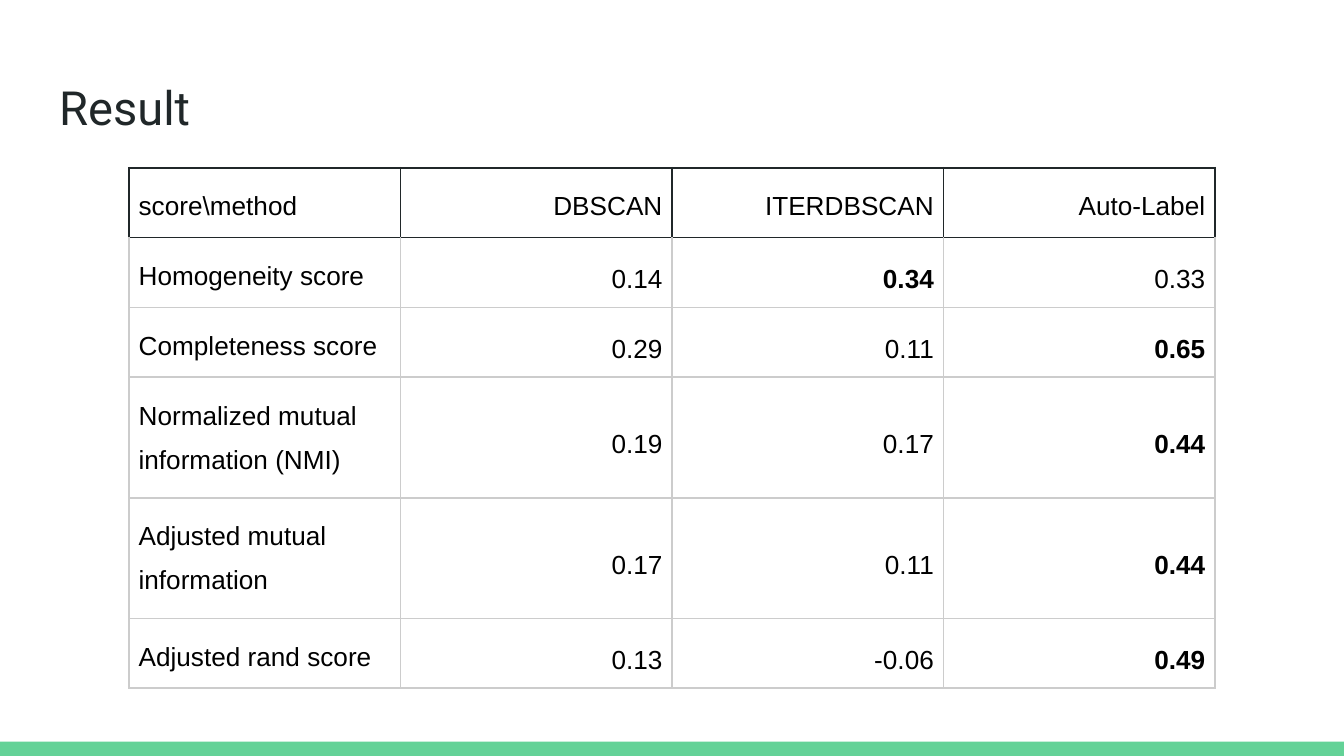
from dataclasses import dataclass

from lxml import etree
from pptx import Presentation
from pptx.dml.color import RGBColor
from pptx.enum.shapes import MSO_SHAPE
from pptx.enum.text import MSO_ANCHOR, PP_ALIGN
from pptx.oxml.ns import qn
from pptx.util import Cm, Pt

RECTANGLE = MSO_SHAPE.RECTANGLE
TOP, MIDDLE = MSO_ANCHOR.TOP, MSO_ANCHOR.MIDDLE
LEFT, RIGHT = PP_ALIGN.LEFT, PP_ALIGN.RIGHT


@dataclass(frozen=True)
class Theme:
    """Colours, fonts and type sizes of the slide."""
    accent: str = "63D297"
    dark: str = "202729"
    grid: str = "CCCCCC"
    text: str = "000000"
    title_font: str = "Roboto"
    body_font: str = "Arial"
    title_size: float = 25.2
    body_size: float = 14


@dataclass(frozen=True)
class Box:
    """A region of the slide."""
    left: int
    top: int
    width: int
    height: int

    def edges(self):
        """Return the position and size in the order python-pptx expects."""
        return self.left, self.top, self.width, self.height


THEME = Theme()
METHODS = ["DBSCAN", "ITERDBSCAN", "Auto-Label"]
SCORES = {
    "Homogeneity score": (0.14, 0.34, 0.33),
    "Completeness score": (0.29, 0.11, 0.65),
    "Normalized mutual information (NMI)": (0.19, 0.17, 0.44),
    "Adjusted mutual information": (0.17, 0.11, 0.44),
    "Adjusted rand score": (0.13, -0.06, 0.49),
}
SHORT_ROW, TALL_ROW = Cm(1.32), Cm(2.28)
ROW_HEIGHTS = [SHORT_ROW] * 3 + [TALL_ROW] * 2 + [SHORT_ROW]


def style_font(font, name, size, color, bold=False):
    """Set the face, size, colour and weight of a font."""
    font.name = name
    font.size = Pt(size)
    font.bold = bold
    font.color.rgb = RGBColor.from_string(color)


def set_margins(target, margin):
    """Give a cell or text frame the same margin on every side."""
    target.margin_left = target.margin_right = margin
    target.margin_top = target.margin_bottom = margin


def set_borders(cell, color, top_color):
    """Draw one-point lines around a cell, with its own colour on top."""
    properties = cell._tc.get_or_add_tcPr()
    sides = {"a:lnL": color, "a:lnR": color, "a:lnT": top_color, "a:lnB": color}
    for index, (tag, side_color) in enumerate(sides.items()):
        line = etree.Element(qn(tag), w=str(Pt(1)))
        fill = etree.SubElement(line, qn("a:solidFill"))
        etree.SubElement(fill, qn("a:srgbClr"), val=side_color)
        properties.insert(index, line)


def fill_cell(cell, text, alignment, anchor, bold):
    """Write and format the text of one table cell."""
    cell.text = text
    cell.fill.background()
    cell.vertical_anchor = anchor
    set_margins(cell, Cm(0.18))
    paragraph = cell.text_frame.paragraphs[0]
    paragraph.alignment = alignment
    paragraph.line_spacing = 1.5
    style_font(paragraph.font, THEME.body_font, THEME.body_size, THEME.text, bold)


def add_footer_bar(slide, box):
    """Add the coloured bar along the bottom edge."""
    bar = slide.shapes.add_shape(RECTANGLE, *box.edges())
    bar.shadow.inherit = False
    bar.fill.solid()
    bar.fill.fore_color.rgb = RGBColor.from_string(THEME.accent)
    bar.line.fill.background()


def add_title(slide, box, text):
    """Add the slide title."""
    frame = slide.shapes.add_textbox(*box.edges()).text_frame
    frame.word_wrap = True
    set_margins(frame, Cm(0.25))
    paragraph = frame.paragraphs[0]
    paragraph.text = text
    style_font(paragraph.font, THEME.title_font, THEME.title_size, THEME.dark)


def add_score_table(slide, box):
    """Add the table of scores, with the best method of each row in bold."""
    rows = [["score\\method", *METHODS]]
    rows += [[name, *map(str, values)] for name, values in SCORES.items()]
    table = slide.shapes.add_table(len(rows), len(rows[0]), *box.edges()).table
    table.first_row = table.horz_banding = False
    for column in table.columns:
        column.width = box.width // len(rows[0])
    for row_index, (row, height) in enumerate(zip(rows, ROW_HEIGHTS)):
        table.rows[row_index].height = height
        is_header = row_index == 0
        best = None if is_header else str(max(SCORES[row[0]]))
        color = THEME.dark if is_header else THEME.grid
        top_color = THEME.dark if row_index < 2 else THEME.grid
        for column_index, text in enumerate(row):
            cell = table.cell(row_index, column_index)
            is_label = column_index == 0
            anchor = TOP if is_header or is_label else MIDDLE
            fill_cell(cell, text, LEFT if is_label else RIGHT, anchor, text == best)
            set_borders(cell, color, top_color)


def main():
    """Build the result slide and save it."""
    presentation = Presentation()
    presentation.slide_width, presentation.slide_height = Cm(25.4), Cm(14.29)
    slide = presentation.slides.add_slide(presentation.slide_layouts[6])
    add_footer_bar(slide, Box(0, Cm(14.02), Cm(25.4), Cm(0.27)))
    add_title(slide, Box(Cm(0.87), Cm(1.24), Cm(23.67), Cm(1.6)), "Result")
    add_score_table(slide, Box(Cm(2.44), Cm(3.17), Cm(20.52), sum(ROW_HEIGHTS)))
    presentation.save("out.pptx")


if __name__ == "__main__":
    main()
